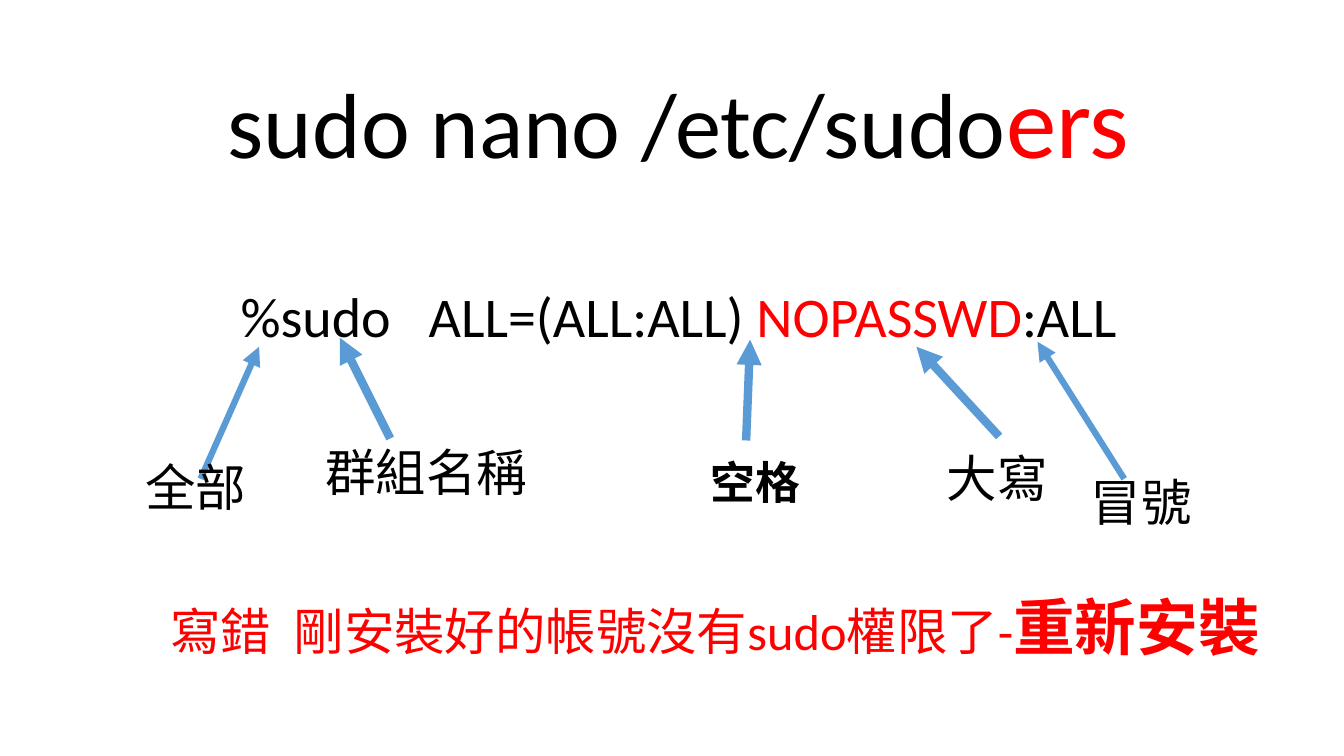
"""Build the slide that explains a sudoers line."""
from lxml.etree import SubElement
from pptx import Presentation
from pptx.dml.color import RGBColor
from pptx.enum.shapes import MSO_CONNECTOR
from pptx.enum.text import MSO_ANCHOR, PP_ALIGN
from pptx.oxml.ns import qn
from pptx.util import Inches, Pt

BLACK, RED, BLUE = "000000", "FF0000", "5B9BD5"

deck = Presentation()
deck.slide_width, deck.slide_height = Inches(13.33), Inches(7.5)
slide = deck.slides.add_slide(deck.slide_layouts[6])


def add_text(box, runs, wrap=True):
    """Add a text box with runs of (text, size, colour, bold)."""
    frame = slide.shapes.add_textbox(*map(Inches, box)).text_frame
    frame.word_wrap = wrap
    for text, size, color, bold in runs:
        run = frame.paragraphs[0].add_run()
        run.text = text
        run.font.name = "Calibri"
        run.font.size = Pt(size)
        run.font.bold = bold
        run.font.color.rgb = RGBColor.from_string(color)
    return frame


def add_arrow(start, end, width):
    """Add a blue arrow that points at end."""
    arrow = slide.shapes.add_connector(
        MSO_CONNECTOR.STRAIGHT, *map(Inches, start + end))
    arrow.line.color.rgb = RGBColor.from_string(BLUE)
    arrow.line.width = Pt(width)
    SubElement(arrow.line._get_or_add_ln(), qn("a:tailEnd"), type="triangle")
    SubElement(arrow._element.spPr, qn("a:effectLst"))


title = add_text((1.73, 0.61, 10, 1.23), [
    ("sudo nano /etc/sudo", 66, BLACK, False),
    ("ers", 72, RED, False),
])
title.vertical_anchor = MSO_ANCHOR.BOTTOM

rule = add_text((1.73, 2.82, 10, 1.81), [
    ("%sudo   ALL=(ALL:ALL) ", 40, BLACK, False),
    ("NOPASSWD", 40, RED, False),
    (":ALL", 40, BLACK, False),
])
for frame in (title, rule):
    frame.paragraphs[0].alignment = PP_ALIGN.CENTER
    frame.paragraphs[0].line_spacing = 0.9

add_text((1.59, 5.79, 11.11, 0.84), [
    ("寫錯  剛安裝好的帳號沒有sudo權限了-", 36, RED, False),
    ("重新安裝", 44, RED, True),
])

labels = [
    ("全部", (1.34, 4.48, 1.21, 0.71), 36, False, (1.99, 4.75), (2.57, 3.44), 4.5),
    ("群組名稱", (3.13, 4.33, 2.22, 0.71), 36, False, (3.87, 4.35), (3.37, 3.35), 6),
    ("大寫", (9.29, 4.39, 1.21, 0.71), 36, False, (9.91, 4.33), (9.09, 3.44), 6),
    ("冒號", (10.72, 4.62, 1.21, 0.71), 36, False, (11.15, 4.75), (10.29, 3.39), 4.5),
    ("空格", (6.95, 4.46, 1.23, 0.64), 32, True, (7.4, 4.37), (7.44, 3.37), 6),
]
for text, box, size, bold, start, end, width in labels:
    add_arrow(start, end, width)
    add_text(box, [(text, size, BLACK, bold)], wrap=False)

deck.save("out.pptx")
